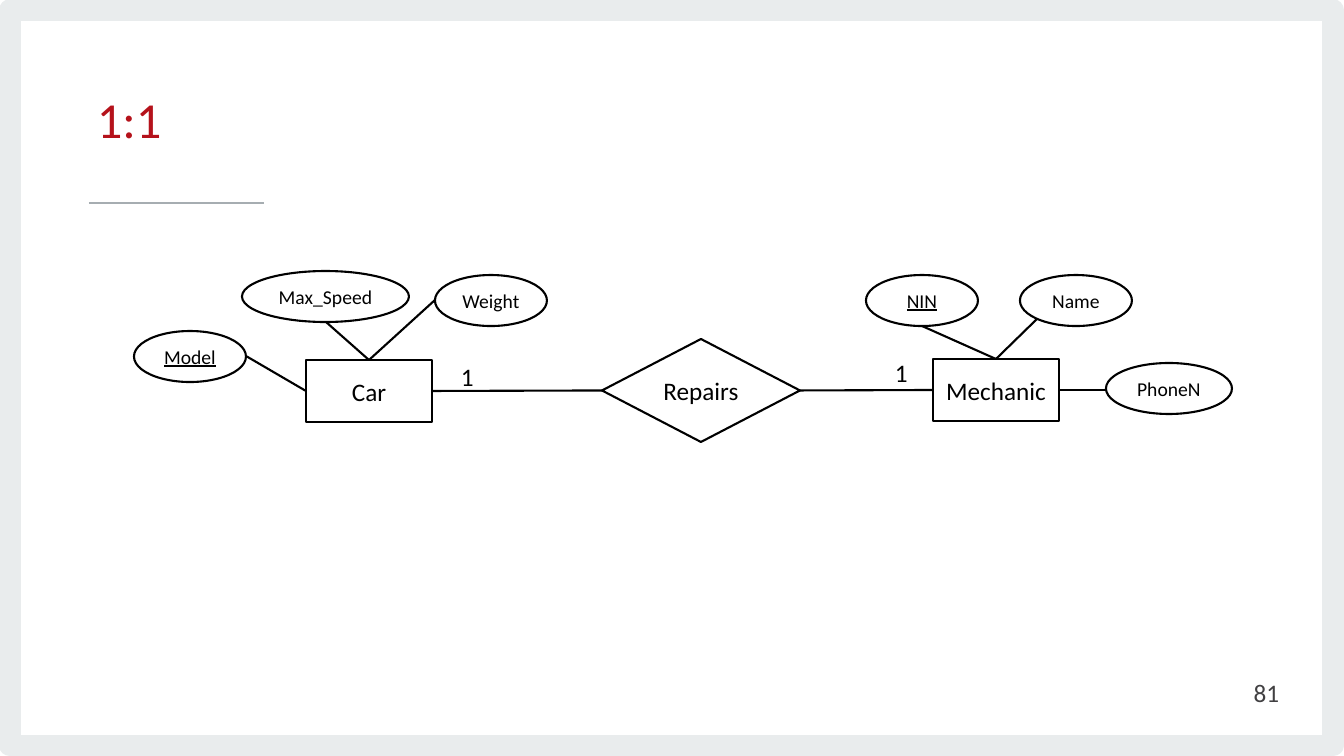
from dataclasses import dataclass

from lxml import etree
from pptx import Presentation
from pptx.dml.color import RGBColor
from pptx.enum.shapes import MSO_CONNECTOR, MSO_SHAPE
from pptx.enum.text import MSO_ANCHOR, PP_ALIGN
from pptx.oxml.ns import qn
from pptx.util import Pt

EMU_PER_PX = 914400 / 100.8
STRAIGHT = MSO_CONNECTOR.STRAIGHT
RECTANGLE = MSO_SHAPE.RECTANGLE
ELLIPSE = MSO_SHAPE.OVAL
DIAMOND = MSO_SHAPE.FLOWCHART_DECISION
LEFT, CENTER, RIGHT = PP_ALIGN.LEFT, PP_ALIGN.CENTER, PP_ALIGN.RIGHT
TOP, MIDDLE = MSO_ANCHOR.TOP, MSO_ANCHOR.MIDDLE
SIDE_TOP, SIDE_LEFT, SIDE_RIGHT = 0, 1, 3


@dataclass(frozen=True)
class Theme:
    font: str = "Calibri"
    black: str = "000000"
    white: str = "FFFFFF"
    red: str = "B5121B"
    dark_gray: str = "414042"
    rule_gray: str = "A6ADB1"
    frame_gray: str = "E9ECED"
    title_size: int = 36
    body_size: int = 18
    attribute_size: int = 14
    diagram_line: float = 1.5
    rule_line: float = 1.33
    frame_line: float = 15.11


def px(*lengths):
    return [round(length * EMU_PER_PX) for length in lengths]


class DiagramSlide:
    def __init__(self, presentation, theme):
        self.theme = theme
        self.slide = presentation.slides.add_slide(presentation.slide_layouts[6])
        self.shapes = self.slide.shapes

    def add_text(self, shape, text, size, color, align, anchor, underline=False):
        frame = shape.text_frame
        frame.vertical_anchor = anchor
        paragraph = frame.paragraphs[0]
        paragraph.alignment = align
        run = paragraph.add_run()
        run.text = text
        run.font.name = self.theme.font
        run.font.size = Pt(size)
        run.font.color.rgb = RGBColor.from_string(color)
        if underline:
            run.font.underline = True
        return paragraph

    def stroke(self, line, color, width):
        line.color.rgb = RGBColor.from_string(color)
        line.width = Pt(width)

    def border(self, *box):
        shape = self.shapes.add_shape(RECTANGLE, *px(*box))
        shape.shadow.inherit = False
        shape.fill.background()
        self.stroke(shape.line, self.theme.frame_gray, self.theme.frame_line)
        # Round the outer corners of the thick border
        outline = shape._element.spPr.find(qn("a:ln"))
        etree.SubElement(outline, qn("a:round"))

    def label(self, text, box, size, color, align=LEFT, anchor=TOP):
        shape = self.shapes.add_textbox(*px(*box))
        shape.text_frame.word_wrap = True
        return self.add_text(shape, text, size, color, align, anchor)

    def node(self, kind, text, box, size, underline=False):
        shape = self.shapes.add_shape(kind, *px(*box))
        shape.shadow.inherit = False
        if kind == DIAMOND:
            shape.fill.background()
        else:
            shape.fill.solid()
            shape.fill.fore_color.rgb = RGBColor.from_string(self.theme.white)
        self.stroke(shape.line, self.theme.black, self.theme.diagram_line)
        self.add_text(shape, text, size, self.theme.black, CENTER, MIDDLE, underline)
        shape.text_frame.word_wrap = False
        return shape

    def line(self, start, end, color, width):
        connector = self.shapes.add_connector(STRAIGHT, *px(*start, *end))
        self.stroke(connector.line, color, width)
        etree.SubElement(connector._element.spPr, qn("a:effectLst"))
        return connector

    def link(self, entity, side, start=(0, 0)):
        connector = self.line(start, start, self.theme.black, self.theme.diagram_line)
        connector.end_connect(entity, side)
        return connector

    def attribute(self, text, box, entity, side, start, underline=False):
        self.node(ELLIPSE, text, box, self.theme.attribute_size, underline)
        self.link(entity, side, start)


def main():
    presentation = Presentation()
    presentation.slide_width, presentation.slide_height = px(1344, 756)
    theme = Theme()
    page = DiagramSlide(presentation, theme)

    # Border, title and page number
    page.border(10, 10, 1323, 736)
    page.line((89, 203), (264, 203), theme.rule_gray, theme.rule_line)
    title = page.label("1:1", (87, 52, 886, 145), theme.title_size, theme.red,
                       anchor=MIDDLE)
    title.line_spacing = Pt(34.7)
    page.label("81", (987, 672, 302, 40), theme.body_size, theme.dark_gray,
               RIGHT, MIDDLE)

    # Entities and their relationship
    repairs = page.node(DIAMOND, "Repairs", (602, 339, 198, 103), theme.body_size)
    car = page.node(RECTANGLE, "Car", (306, 360, 126, 62), theme.body_size)
    mechanic = page.node(RECTANGLE, "Mechanic", (933, 359, 126, 62), theme.body_size)
    page.link(repairs, SIDE_LEFT).begin_connect(car, SIDE_RIGHT)
    page.link(mechanic, SIDE_LEFT).begin_connect(repairs, SIDE_RIGHT)

    # Attributes: text, box, entity, side of the entity, line start, key
    attributes = [
        ("Model", (134, 331, 112, 51), car, SIDE_LEFT, (246, 356), True),
        ("Max_Speed", (242, 271, 167, 51), car, SIDE_TOP, (326, 322), False),
        ("Weight", (435, 275, 112, 51), car, SIDE_TOP, (435, 300), False),
        ("NIN", (866, 275, 112, 51), mechanic, SIDE_TOP, (922, 326), True),
        ("Name", (1020, 275, 112, 51), mechanic, SIDE_TOP, (1037, 319), False),
        ("PhoneN", (1106, 363, 126, 51), mechanic, SIDE_RIGHT, (1106, 390), False),
    ]
    for attribute in attributes:
        page.attribute(*attribute)

    # Cardinalities
    for left, top in ((451, 356), (885, 352)):
        page.label("1", (left, top, 77, 40), theme.body_size, theme.black)

    presentation.save("out.pptx")


if __name__ == "__main__":
    main()
